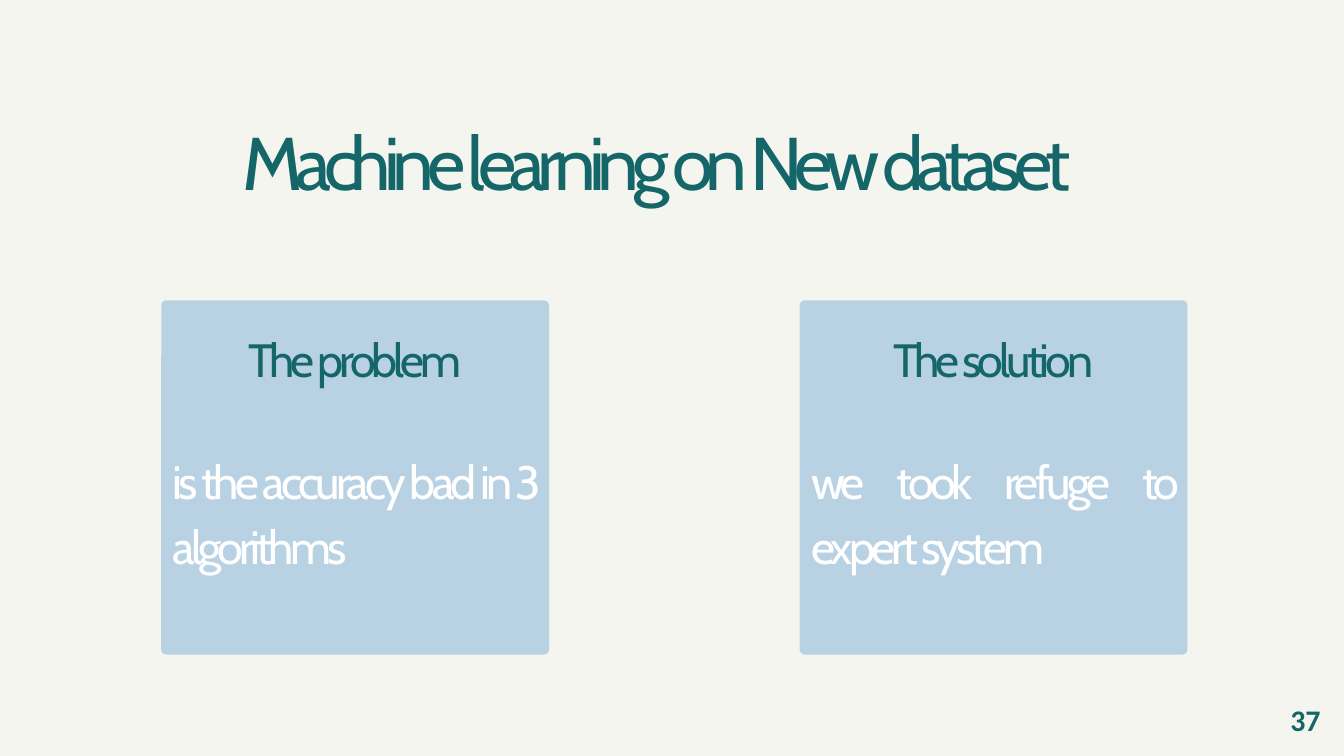
from dataclasses import dataclass

from pptx import Presentation
from pptx.dml.color import RGBColor
from pptx.enum import shapes, text
from pptx.oxml import xmlchemy
from pptx.util import Pt


@dataclass(frozen=True)
class Theme:
    paper: RGBColor = RGBColor(0xF5, 0xF5, 0xEF)
    card: RGBColor = RGBColor(0xB8, 0xD2, 0xE4)
    teal: RGBColor = RGBColor(0x15, 0x66, 0x69)
    white: RGBColor = RGBColor(0xFF, 0xFF, 0xFF)
    font: str = "Cabin"
    number_font: str = "Calibri"
    title_size: int = 80
    card_size: int = 50
    number_size: int = 32


THEME = Theme()
CARD_LEFT, CARD_TOP, CARD_WIDTH, CARD_HEIGHT = 172.8, 321.84, 415.44, 379.44
CARD_STEP = 684
CARD_INSET = 12.24
CARD_RADIUS = 5.3

CARDS = [
    ("The problem", "is the accuracy bad in 3 algorithms"),
    ("The solution", "we took refuge to expert system"),
]


def place(item, left, top, width, height):
    item.left, item.top = Pt(left), Pt(top)
    item.width, item.height = Pt(width), Pt(height)


def write(item, words, size, color, align, leading, tracking):
    """Fill a placeholder with one tightly tracked, unbulleted paragraph."""
    frame = item.text_frame
    frame.text = words
    frame.word_wrap = True
    frame.auto_size = text.MSO_AUTO_SIZE.NONE
    frame.vertical_anchor = text.MSO_ANCHOR.TOP
    frame.margin_left = frame.margin_right = 0
    frame.margin_top = frame.margin_bottom = 0

    paragraph = frame.paragraphs[0]
    paragraph.alignment = align
    paragraph.line_spacing = Pt(leading)
    paragraph.space_before = Pt(0)
    properties = paragraph._p.get_or_add_pPr()
    properties.set("marL", "0")
    properties.set("indent", "0")
    properties.append(xmlchemy.OxmlElement("a:buNone"))

    run = paragraph.runs[0]
    run.font.name = THEME.font
    run.font.size = Pt(size)
    run.font.bold = False
    run.font.color.rgb = color
    run._r.get_or_add_rPr().set("spc", str(round(tracking * 100)))


def add_card(slide, left):
    card = slide.shapes.add_shape(
        shapes.MSO_SHAPE.ROUNDED_RECTANGLE,
        Pt(left), Pt(CARD_TOP), Pt(CARD_WIDTH), Pt(CARD_HEIGHT))
    card.adjustments[0] = CARD_RADIUS / CARD_HEIGHT
    card.shadow.inherit = False
    card.fill.solid()
    card.fill.fore_color.rgb = THEME.card
    card.line.fill.background()
    # Cards lie behind the placeholders
    slide.shapes._spTree.insert(2, card._element)


def fill_card(heading, body, left, heading_words, body_words):
    place(heading, left, 344.16, CARD_WIDTH, 67)
    write(heading, heading_words, THEME.card_size, THEME.teal,
          text.PP_ALIGN.CENTER, 70, -4.1)
    place(body, left + CARD_INSET, 475.2, CARD_WIDTH - 2 * CARD_INSET, 136.8)
    write(body, body_words, THEME.card_size, THEME.white,
          text.PP_ALIGN.JUSTIFY, 70, -4.1)


def add_page_number(slide, number):
    box = slide.shapes.add_textbox(Pt(1355.76), Pt(740.88), Pt(66.24), Pt(60.48))
    frame = box.text_frame
    frame.word_wrap = True
    frame.vertical_anchor = text.MSO_ANCHOR.MIDDLE
    frame.text = number
    paragraph = frame.paragraphs[0]
    paragraph.alignment = text.PP_ALIGN.RIGHT
    font = paragraph.runs[0].font
    font.name, font.size, font.bold = THEME.number_font, Pt(THEME.number_size), True
    font.color.rgb = THEME.teal


def main():
    deck = Presentation()
    deck.slide_width, deck.slide_height = Pt(1440), Pt(810)
    # Comparison layout: a title and two heading/body pairs
    slide = deck.slides.add_slide(deck.slide_layouts[4])
    slide.background.fill.solid()
    slide.background.fill.fore_color.rgb = THEME.paper

    # Title
    title, *card_parts = slide.placeholders
    place(title, 185.04, 143.28, 1036.8, 82.08)
    write(title, "Machine learning on New dataset", THEME.title_size,
          THEME.teal, text.PP_ALIGN.CENTER, 76.8, -7.7)

    # Problem and solution cards
    pairs = zip(card_parts[::2], card_parts[1::2])
    for index, ((heading, body), words) in enumerate(zip(pairs, CARDS)):
        left = CARD_LEFT + index * CARD_STEP
        add_card(slide, left)
        fill_card(heading, body, left, *words)

    # Page number
    add_page_number(slide, "37")
    deck.save("out.pptx")


if __name__ == "__main__":
    main()
